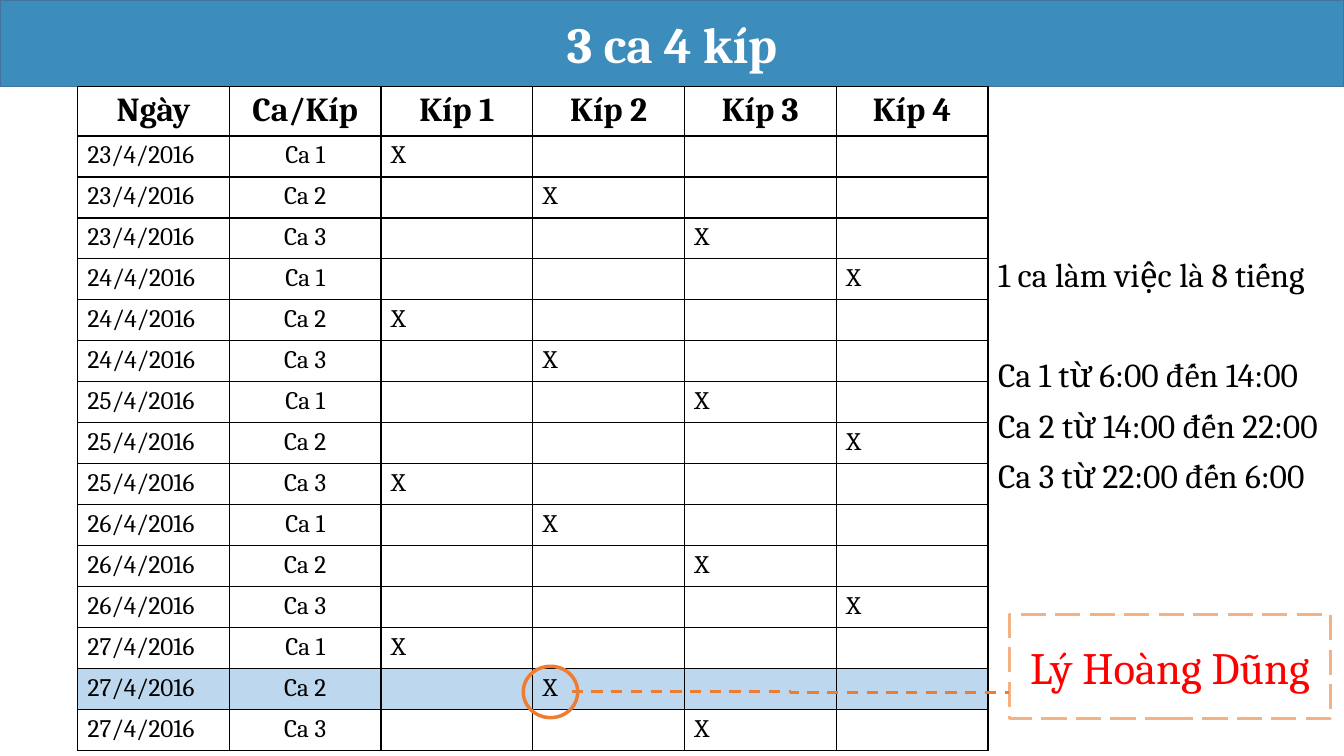
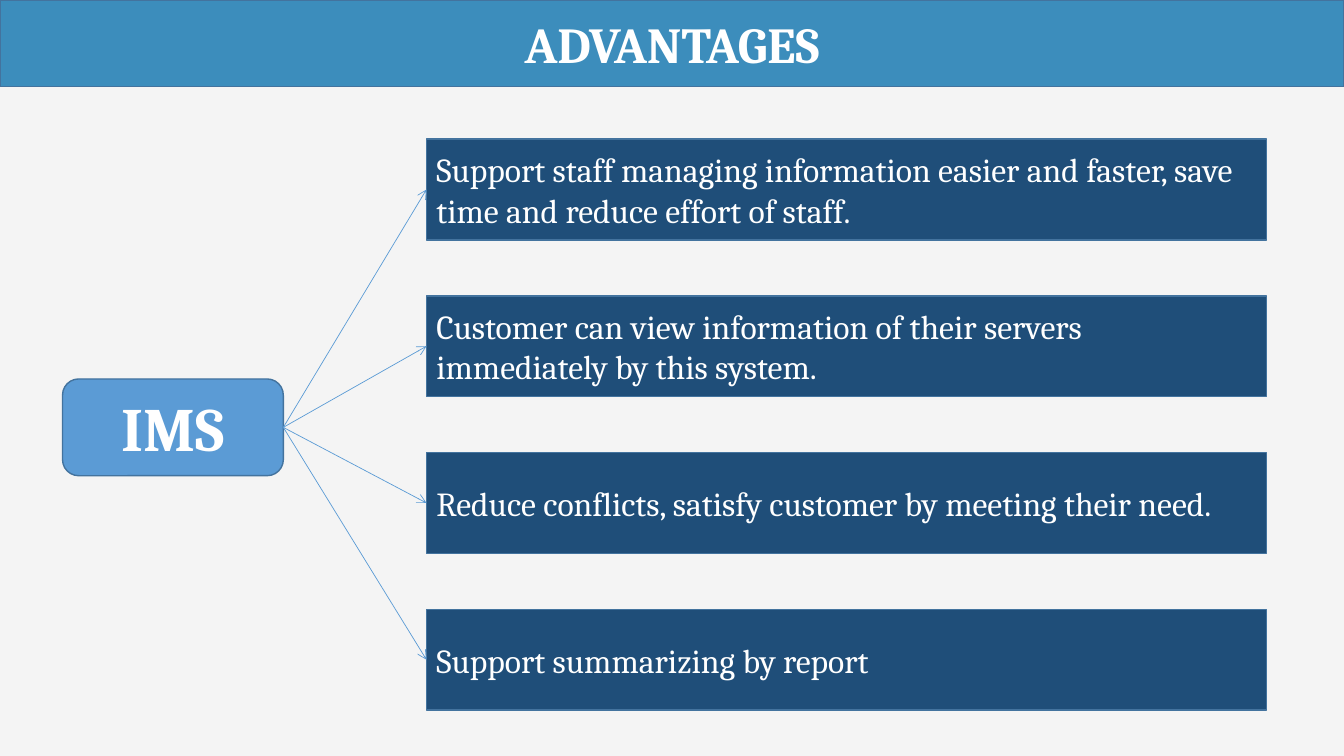
from lxml.etree import SubElement
from pptx import Presentation
from pptx.dml.color import RGBColor
from pptx.enum.dml import MSO_LINE
from pptx.enum.shapes import MSO_CONNECTOR, MSO_SHAPE
from pptx.enum.text import MSO_ANCHOR, MSO_AUTO_SIZE, PP_ALIGN
from pptx.oxml.ns import qn
from pptx.util import Inches, Pt

FONT = "Cambria"
WHITE = RGBColor(0xFF, 0xFF, 0xFF)
BLACK = RGBColor(0, 0, 0)
RED = RGBColor(0xFF, 0, 0)
PALE_GREY = RGBColor(0xF4, 0xF4, 0xF4)
BAND_BLUE = RGBColor(0x3C, 0x8D, 0xBC)
EDGE_BLUE = RGBColor(0x43, 0x73, 0x9E)
NAVY = RGBColor(0x1F, 0x4E, 0x79)
SKY_BLUE = RGBColor(0x5B, 0x9B, 0xD5)
HIGHLIGHT_BLUE = RGBColor(0xBD, 0xD7, 0xEE)
ORANGE = RGBColor(0xED, 0x7D, 0x31)
PALE_ORANGE = RGBColor(0xF4, 0xB1, 0x83)
SLIDE_W, SLIDE_H, BAND_H = 13.33, 7.5, 0.86

# Content
ROTA_TITLE = "3 ca 4 kíp"
CREWS = ["Kíp 1", "Kíp 2", "Kíp 3", "Kíp 4"]
SHIFTS = ["Ca 1", "Ca 2", "Ca 3"]
DATES = [f"{day}/4/2016" for day in range(23, 28)]
HIGHLIGHTED = ("27/4/2016", "Ca 2")
# Each line with its space before, in points
SHIFT_HOURS = [
    ("1 ca làm việc là 8 tiếng", 10),
    ("Ca 1 từ 6:00 đến 14:00", 46),
    ("Ca 2 từ 14:00 đến 22:00", 10),
    ("Ca 3 từ 22:00 đến 6:00", 10),
]
EMPLOYEE = "Lý Hoàng Dũng"

ADVANTAGES_TITLE = "ADVANTAGES"
SYSTEM = "IMS"
ADVANTAGES = [
    "Support staff managing information easier and faster, save time and reduce effort of staff.",
    "Customer can view information of their servers immediately by this system.",
    "Reduce conflicts, satisfy customer by meeting their need.",
    "Support summarizing by report",
]


# Shared helpers
def write(paragraph, text, size, color, bold=False, align=PP_ALIGN.LEFT):
    paragraph.alignment = align
    run = paragraph.add_run()
    run.text = text
    run.font.name = FONT
    run.font.size = Pt(size)
    run.font.bold = bold
    run.font.color.rgb = color


def paint(shape, fill, edge, width=1.0, dash=None):
    if fill is None:
        shape.fill.background()
    else:
        shape.fill.solid()
        shape.fill.fore_color.rgb = fill
    shape.line.color.rgb = edge
    shape.line.width = Pt(width)
    if dash:
        shape.line.dash_style = dash


def place(shape, left, top, width, height):
    shape.left, shape.top = Inches(left), Inches(top)
    shape.width, shape.height = Inches(width), Inches(height)


def add_titled_slide(prs, layout, title, background):
    slide = prs.slides.add_slide(prs.slide_layouts[layout])
    slide.background.fill.solid()
    slide.background.fill.fore_color.rgb = background
    band = slide.shapes.title
    place(band, 0, 0, SLIDE_W, BAND_H)
    paint(band, BAND_BLUE, EDGE_BLUE)
    band.text_frame.auto_size = MSO_AUTO_SIZE.NONE
    band.text_frame.vertical_anchor = MSO_ANCHOR.MIDDLE
    write(band.text_frame.paragraphs[0], title, 36, WHITE, True, PP_ALIGN.CENTER)
    return slide


def add_box(slide, preset, at, fill, edge, width=1.0, dash=None):
    box = slide.shapes.add_shape(preset, *map(Inches, at))
    box.shadow.inherit = False
    paint(box, fill, edge, width, dash)
    box.text_frame.word_wrap = True
    box.text_frame.vertical_anchor = MSO_ANCHOR.MIDDLE
    return box


def add_link(slide, preset, start, end, color, width, dash=None):
    link = slide.shapes.add_connector(preset, *map(Inches, start + end))
    link.line.color.rgb = color
    link.line.width = Pt(width)
    if dash:
        link.line.dash_style = dash
    SubElement(link._element.spPr, qn("a:effectLst"))
    return link


def format_cell(cell, fill):
    properties = cell._tc.get_or_add_tcPr()
    for side in ("a:lnL", "a:lnR", "a:lnT", "a:lnB"):
        border = SubElement(properties, qn(side), w=str(Pt(1)))
        SubElement(SubElement(border, qn("a:solidFill")), qn("a:srgbClr"), val=str(BLACK))
    if fill is None:
        cell.fill.background()
    else:
        cell.fill.solid()
        cell.fill.fore_color.rgb = fill


# Slide parts
def add_rota_table(slide):
    header = ["Ngày", "Ca/Kíp"] + CREWS
    rota = [(date, shift) for date in DATES for shift in SHIFTS]
    header_h, body_h = 0.49, 6.1
    frame = slide.shapes.add_table(
        len(rota) + 1, len(header),
        Inches(0.77), Inches(BAND_H), Inches(9.03), Inches(header_h + body_h))
    table = frame.table
    table.first_row = table.horz_banding = False
    for row in table.rows:
        row.height = Inches(body_h / len(rota))
    table.rows[0].height = Inches(header_h)

    for column, heading in enumerate(header):
        cell = table.cell(0, column)
        format_cell(cell, None)
        write(cell.text_frame.paragraphs[0], heading, 24, BLACK, True, PP_ALIGN.CENTER)

    # The crews take the shifts in turn
    for index, (date, shift) in enumerate(rota):
        marks = ["X" if crew == index % len(CREWS) else "" for crew in range(len(CREWS))]
        fill = HIGHLIGHT_BLUE if (date, shift) == HIGHLIGHTED else None
        for column, text in enumerate([date, shift] + marks):
            cell = table.cell(index + 1, column)
            format_cell(cell, fill)
            if text:
                align = PP_ALIGN.CENTER if column == 1 else PP_ALIGN.LEFT
                write(cell.text_frame.paragraphs[0], text, 18, BLACK, align=align)


def add_shift_hours(slide):
    hours = slide.placeholders[1]
    place(hours, 9.8, 2.51, 3.5, 2.71)
    frame = hours.text_frame
    frame.auto_size = MSO_AUTO_SIZE.NONE
    frame.vertical_anchor = MSO_ANCHOR.TOP
    for index, (text, space) in enumerate(SHIFT_HOURS):
        paragraph = frame.add_paragraph() if index else frame.paragraphs[0]
        write(paragraph, text, 24, BLACK)
        paragraph.line_spacing = 0.9
        paragraph.space_before = Pt(space)
        properties = paragraph._p.get_or_add_pPr()
        properties.set("marL", "0")
        properties.set("indent", "0")
        SubElement(properties, qn("a:buNone"))


def build_rota(prs):
    slide = add_titled_slide(prs, 1, ROTA_TITLE, WHITE)
    add_shift_hours(slide)
    add_rota_table(slide)
    # Callout for the employee on the highlighted shift
    employee = add_box(slide, MSO_SHAPE.RECTANGLE, (10.01, 6.1, 3.19, 1.03),
                       None, PALE_ORANGE, 2.25, MSO_LINE.LONG_DASH)
    write(employee.text_frame.paragraphs[0], EMPLOYEE, 32, RED, align=PP_ALIGN.CENTER)
    add_link(slide, MSO_CONNECTOR.ELBOW, (5.67, 6.86), (10.01, 6.87),
             ORANGE, 2, MSO_LINE.DASH)
    add_box(slide, MSO_SHAPE.OVAL, (5.19, 6.61, 0.54, 0.51), None, ORANGE, 2.5)


def build_advantages(prs):
    slide = add_titled_slide(prs, 5, ADVANTAGES_TITLE, PALE_GREY)
    system_at = (0.62, 3.76, 2.19, 0.96)
    system = add_box(slide, MSO_SHAPE.ROUNDED_RECTANGLE, system_at, SKY_BLUE, EDGE_BLUE)
    write(system.text_frame.paragraphs[0], SYSTEM, 44, WHITE, True, PP_ALIGN.CENTER)

    left, top, width, height, pitch = 4.23, 1.38, 8.33, 1, 1.555
    origin = (system_at[0] + system_at[2], system_at[1] + system_at[3] / 2)
    for index, text in enumerate(ADVANTAGES):
        box_top = top + index * pitch
        advantage = add_box(slide, MSO_SHAPE.RECTANGLE, (left, box_top, width, height),
                            NAVY, EDGE_BLUE)
        write(advantage.text_frame.paragraphs[0], text, 24, WHITE)
        arrow = add_link(slide, MSO_CONNECTOR.STRAIGHT, origin,
                         (left, box_top + height / 2), SKY_BLUE, 0.5)
        arrow.begin_connect(system, 3)
        arrow.end_connect(advantage, 1)
        SubElement(arrow.line._get_or_add_ln(), qn("a:tailEnd"), type="arrow")


def main():
    prs = Presentation()
    prs.slide_width, prs.slide_height = Inches(SLIDE_W), Inches(SLIDE_H)
    build_rota(prs)
    build_advantages(prs)
    prs.save("out.pptx")


if __name__ == "__main__":
    main()
